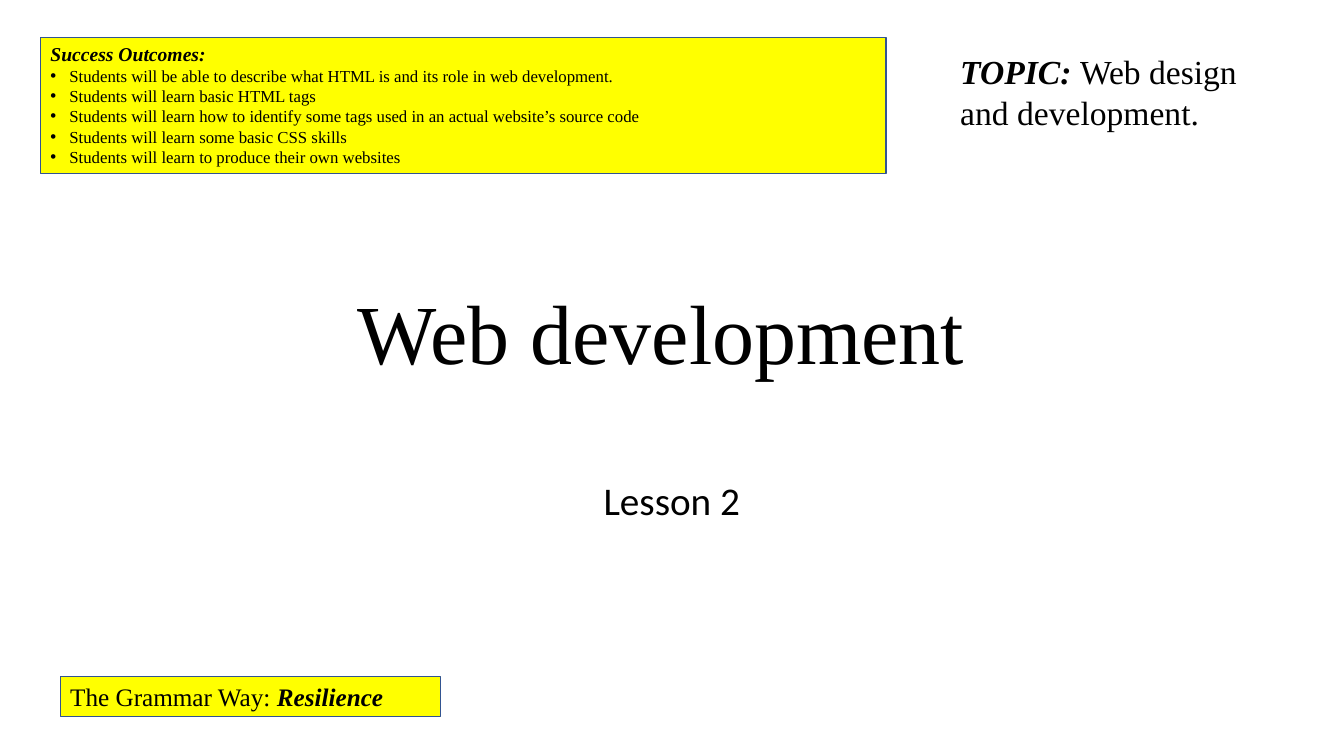
from dataclasses import dataclass

from lxml import etree
from pptx import Presentation
from pptx.dml.color import RGBColor
from pptx.enum.shapes import MSO_SHAPE
from pptx.enum.text import MSO_ANCHOR, MSO_AUTO_SIZE, PP_ALIGN
from pptx.oxml.ns import qn
from pptx.util import Cm, Pt

RECT = MSO_SHAPE.RECTANGLE
TOP, BOTTOM = MSO_ANCHOR.TOP, MSO_ANCHOR.BOTTOM
LEFT, CENTER = PP_ALIGN.LEFT, PP_ALIGN.CENTER
GROW = MSO_AUTO_SIZE.SHAPE_TO_FIT_TEXT


@dataclass(frozen=True)
class Theme:
    serif: str = "Times New Roman"
    sans: str = "Calibri"
    ink: RGBColor = RGBColor(0, 0, 0)
    panel: RGBColor = RGBColor(0xFF, 0xFF, 0)
    border: RGBColor = RGBColor(0x32, 0x54, 0x91)
    title: Pt = Pt(60)
    subtitle: Pt = Pt(28)
    topic: Pt = Pt(24)
    motto: Pt = Pt(18)
    heading: Pt = Pt(14)
    body: Pt = Pt(12)


theme = Theme()


def add_box(x, y, w, h, panel=False):
    """Add a text box, or a yellow bordered panel, and return its text frame."""
    box = (Cm(x), Cm(y), Cm(w), Cm(h))
    if panel:
        sp = s.shapes.add_shape(RECT, *box)
        sp.shadow.inherit = False
        sp.fill.solid()
        sp.fill.fore_color.rgb = theme.panel
        sp.line.color.rgb = theme.border
        sp.line.width = Pt(0.75)
    else:
        sp = s.shapes.add_textbox(*box)
    tf = sp.text_frame
    tf.word_wrap = True
    tf.vertical_anchor = TOP
    return tf


def write(p, size, *parts, font=theme.serif, align=LEFT):
    """Fill a paragraph with (text, emphasised) parts."""
    p.alignment = align
    p.font.name = font
    p.font.size = size
    p.font.color.rgb = theme.ink
    for text, strong in parts:
        r = p.add_run()
        r.text = text
        if strong:
            r.font.bold = r.font.italic = True


prs = Presentation()
prs.slide_width, prs.slide_height = Cm(33.87), Cm(19.05)
s = prs.slides.add_slide(prs.slide_layouts[6])

# Title
tf = add_box(4.23, 5.82, 25.4, 3.94)
tf.vertical_anchor = BOTTOM
p = tf.paragraphs[0]
write(p, theme.title, ("Web development ", False), align=CENTER)
p.line_spacing = 0.9

# Motto
tf = add_box(1.52, 17.04, 9.58, 1.02, panel=True)
tf.auto_size = GROW
write(tf.paragraphs[0], theme.motto, ("The Grammar Way: ", False), ("Resilience", True))

# Topic
tf = add_box(23.95, 1.17, 7.92, 2.31)
tf.auto_size = GROW
write(tf.paragraphs[0], theme.topic, ("TOPIC: ", True), ("Web design and development.", False))

# Success outcomes
outcomes = [
    "Students will be able to describe what HTML is and its role in web development.",
    "Students will learn basic HTML tags",
    "Students will learn how to identify some tags used in an actual website’s source code",
    "Students will learn some basic CSS skills",
    "Students will learn to produce their own websites",
]
tf = add_box(1.02, 0.94, 21.31, 3.43, panel=True)
tf.auto_size = GROW
write(tf.paragraphs[0], theme.heading, ("Success Outcomes:", True))
for outcome in outcomes:
    p = tf.add_paragraph()
    write(p, theme.body, (outcome, False))
    pPr = p._p.get_or_add_pPr()
    pPr.set("marL", str(Cm(0.48)))
    pPr.set("indent", str(-Cm(0.48)))
    bullet_font = etree.Element(qn("a:buFont"), typeface="Arial")
    bullet = etree.Element(qn("a:buChar"), char="•")
    pPr.insert(0, bullet_font)
    pPr.insert(1, bullet)

# Subtitle
tf = add_box(4.23, 12.01, 25.4, 4.6)
p = tf.paragraphs[0]
write(p, theme.subtitle, ("Lesson 2", False), font=theme.sans, align=CENTER)
p.line_spacing = 0.9
p.space_before = Pt(10)

prs.save("out.pptx")
